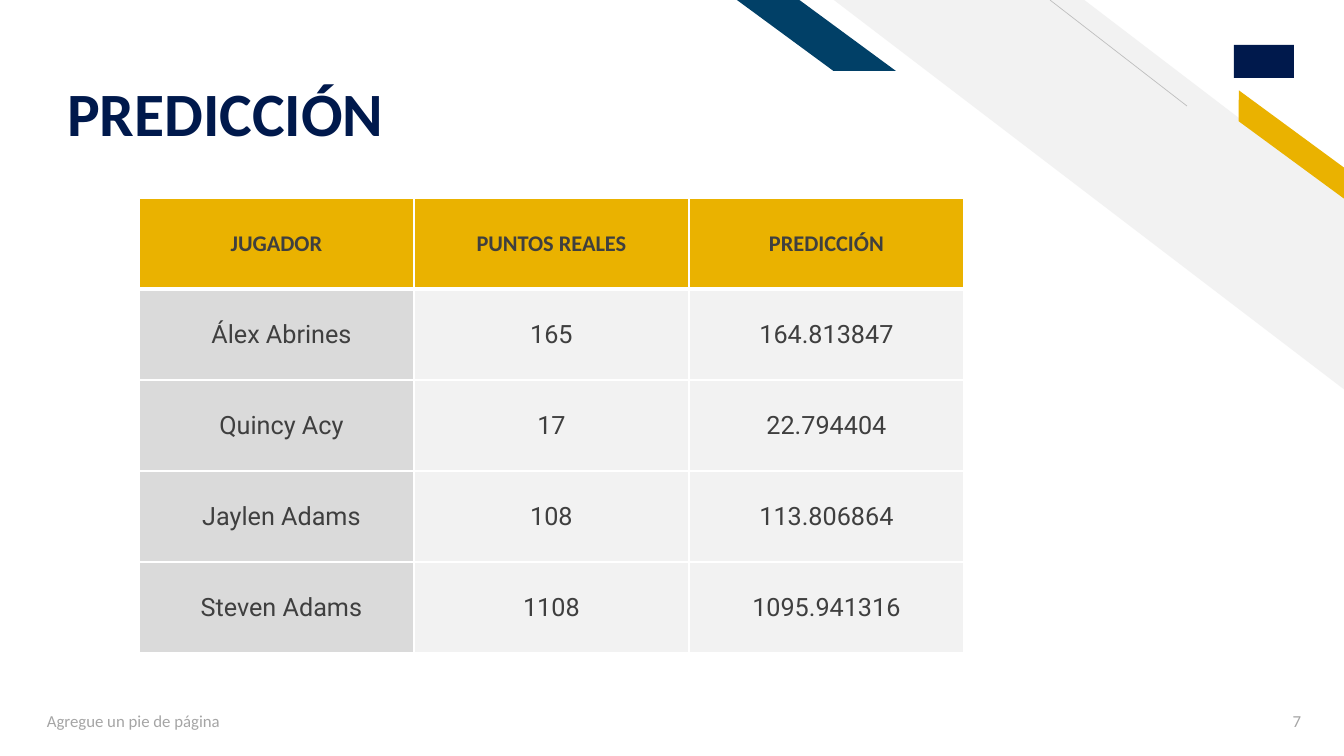
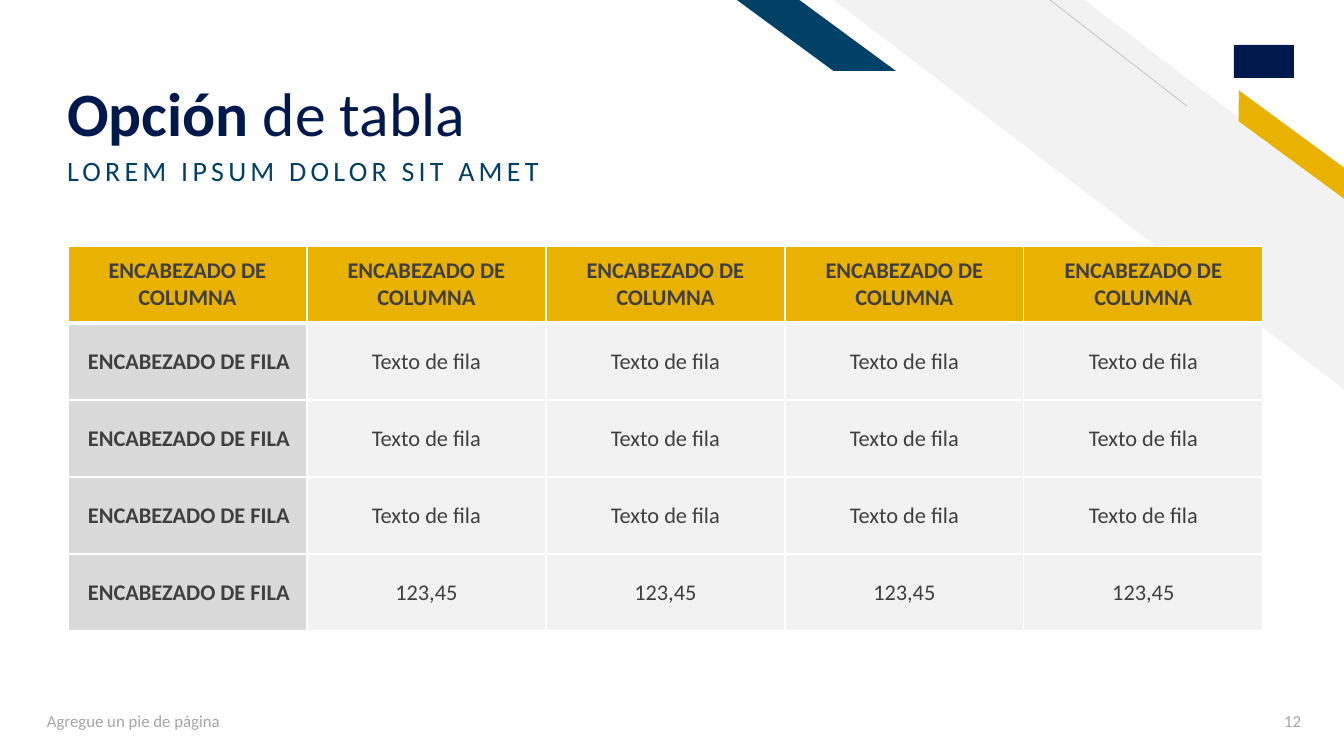
from lxml.etree import SubElement
from pptx import Presentation
from pptx.dml.color import RGBColor
from pptx.enum.shapes import MSO_CONNECTOR, MSO_SHAPE
from pptx.enum.text import MSO_ANCHOR, MSO_AUTO_SIZE, PP_ALIGN
from pptx.oxml.ns import qn
from pptx.util import Inches, Pt

SLIDE_WIDTH, SLIDE_HEIGHT = 1344, 756
SCALE = Inches(7.5) / SLIDE_HEIGHT

NAVY = RGBColor(0x00, 0x19, 0x4C)
BLUE = RGBColor(0x01, 0x40, 0x67)
GOLD = RGBColor(0xEA, 0xB2, 0x00)
PALE_GREY = RGBColor(0xF2, 0xF2, 0xF2)
ROW_GREY = RGBColor(0xDA, 0xDA, 0xDA)
LINE_GREY = RGBColor(0xBF, 0xBF, 0xBF)
FOOTER_GREY = RGBColor(0xA5, 0xA5, 0xA5)
TEXT_GREY = RGBColor(0x3F, 0x3F, 0x3F)
WHITE = RGBColor(0xFF, 0xFF, 0xFF)

MAIN_FONT = "Calibri"
FOOTER_TEXT = "Agregue un pie de página"


def px(length):
    return round(length * SCALE)


def set_font(paragraph, size, color, name=MAIN_FONT, bold=None):
    font = paragraph.font
    font.name, font.size, font.bold = name, Pt(size), bold
    font.color.rgb = color


def add_band(slide, preset, box, color, adjustment=None, rotation=0):
    band = slide.shapes.add_shape(preset, *map(px, box))
    band.shadow.inherit = False
    band.fill.solid()
    band.fill.fore_color.rgb = color
    band.line.fill.background()
    if adjustment is not None:
        band.adjustments[0] = adjustment
        band._element.spPr.find(qn("a:xfrm")).set("flipH", "1")
    band.rotation = rotation


def add_decoration(slide):
    # Plain block where the emblem sits
    add_band(slide, MSO_SHAPE.RECTANGLE, (1234, 45, 60, 33), NAVY)

    # Diagonal bands
    add_band(slide, MSO_SHAPE.DIAGONAL_STRIPE, (834, 0, 511, 390), PALE_GREY, 0.51)
    hairline = slide.shapes.add_connector(
        MSO_CONNECTOR.STRAIGHT, px(1187), px(106), px(1050), px(0))
    hairline.line.color.rgb = LINE_GREY
    hairline.line.width = Pt(0.5)
    SubElement(hairline._element.spPr, qn("a:effectLst"))
    add_band(slide, MSO_SHAPE.PARALLELOGRAM, (1217, 132, 149, 25), GOLD, 0.72, 36.3)
    add_band(slide, MSO_SHAPE.PARALLELOGRAM, (737, 0, 159, 71), BLUE, 1.36)


def add_footer_text(slide, text, left, width, alignment):
    footer = slide.shapes.add_textbox(px(left), px(701), px(width), px(40))
    frame = footer.text_frame
    frame.word_wrap = True
    frame.vertical_anchor = MSO_ANCHOR.MIDDLE
    paragraph = frame.paragraphs[0]
    paragraph.text = text
    paragraph.alignment = alignment
    set_font(paragraph, 12, FOOTER_GREY)


def place_placeholder(slide, placeholder, box, anchor):
    """Move a placeholder in front of the bands and return its paragraph."""
    slide.shapes._spTree.append(placeholder._element)
    placeholder.left, placeholder.top, placeholder.width, placeholder.height = map(px, box)
    frame = placeholder.text_frame
    frame.word_wrap = True
    frame.auto_size = MSO_AUTO_SIZE.NONE
    frame.vertical_anchor = anchor
    paragraph = frame.paragraphs[0]
    paragraph.alignment = PP_ALIGN.LEFT
    paragraph.line_spacing = 0.9
    paragraph.space_before = Pt(0)
    return paragraph


def set_title(slide, bold_part, regular_part=""):
    title = slide.shapes.title
    paragraph = place_placeholder(slide, title, (57, 23, 918, 127), MSO_ANCHOR.BOTTOM)
    title.text_frame.margin_bottom = 0
    for text, bold in ((bold_part, True), (regular_part, False)):
        if text:
            run = paragraph.add_run()
            run.text = text
            run.font.bold = bold
    set_font(paragraph, 44, NAVY)


def set_subtitle(slide, text):
    paragraph = place_placeholder(
        slide, slide.placeholders[1], (57, 152, 812, 68), MSO_ANCHOR.TOP)
    properties = paragraph._p.get_or_add_pPr()
    properties.set("marL", "0")
    properties.set("indent", "0")
    SubElement(properties, qn("a:buNone"))
    run = paragraph.add_run()
    run.text = text
    run._r.get_or_add_rPr().set("spc", "300")
    set_font(paragraph, 20, BLUE)


def set_borders(cell, top, bottom):
    properties = cell._tc.get_or_add_tcPr()
    for side, points in (("L", 1), ("R", 1), ("T", top), ("B", bottom)):
        border = SubElement(properties, qn(f"a:ln{side}"), w=str(Pt(points)))
        fill = SubElement(border, qn("a:solidFill"))
        SubElement(fill, qn("a:srgbClr"), val=str(WHITE))


def format_cell(cell, text, row, column, body_font, body_size, row_headings):
    is_header = row == 0
    is_heading = column == 0 and not is_header
    set_borders(cell, 3 if row == 1 else 1, 3 if is_header else 1)
    cell.fill.solid()
    cell.fill.fore_color.rgb = GOLD if is_header else ROW_GREY if is_heading else PALE_GREY
    cell.vertical_anchor = MSO_ANCHOR.MIDDLE
    cell.margin_left = px(20 if is_heading else 10)
    paragraph = cell.text_frame.paragraphs[0]
    paragraph.text = text
    bold_heading = is_heading and row_headings
    paragraph.alignment = PP_ALIGN.LEFT if bold_heading else PP_ALIGN.CENTER
    set_font(paragraph, 16 if is_header else body_size, TEXT_GREY,
             MAIN_FONT if is_header else body_font, is_header or bold_heading)


def add_data_table(slide, rows, left, top, column_width, row_height,
                   body_font=MAIN_FONT, body_size=16, row_headings=False):
    column_count = len(rows[0])
    table = slide.shapes.add_table(
        len(rows), column_count, px(left), px(top),
        px(column_width * column_count), px(row_height * len(rows))).table
    table.horz_banding = False
    for column in table.columns:
        column.width = px(column_width)
    for row_index, texts in enumerate(rows):
        table.rows[row_index].height = px(row_height)
        for column_index, text in enumerate(texts):
            format_cell(table.cell(row_index, column_index), text, row_index,
                        column_index, body_font, body_size, row_headings)


def add_base_slide(presentation, layout_index, number):
    slide = presentation.slides.add_slide(presentation.slide_layouts[layout_index])
    add_decoration(slide)
    add_footer_text(slide, FOOTER_TEXT, 37, 454, PP_ALIGN.LEFT)
    add_footer_text(slide, str(number), 1229, 82, PP_ALIGN.RIGHT)
    return slide


def main():
    presentation = Presentation()
    presentation.slide_width = px(SLIDE_WIDTH)
    presentation.slide_height = px(SLIDE_HEIGHT)

    # Prediction results
    prediction = add_base_slide(presentation, 5, 7)
    set_title(prediction, "PREDICCIÓN")
    players = [
        ("JUGADOR", "PUNTOS REALES", "PREDICCIÓN"),
        ("Álex Abrines", "165", "164.813847"),
        ("Quincy Acy", "17", "22.794404"),
        ("Jaylen Adams", "108", "113.806864"),
        ("Steven Adams", "1108", "1095.941316"),
    ]
    add_data_table(prediction, players, 139, 198, 275, 91, "Roboto", 18)

    # Table option
    option = add_base_slide(presentation, 1, 12)
    set_title(option, "Opción ", "de tabla")
    set_subtitle(option, "LOREM IPSUM DOLOR SIT AMET")
    sample_rows = [["ENCABEZADO DE COLUMNA"] * 5]
    for text in ["Texto de fila"] * 3 + ["123,45"]:
        sample_rows.append(["ENCABEZADO DE FILA"] + [text] * 4)
    add_data_table(option, sample_rows, 68, 246, 239, 77, row_headings=True)

    presentation.save("out.pptx")


if __name__ == "__main__":
    main()
